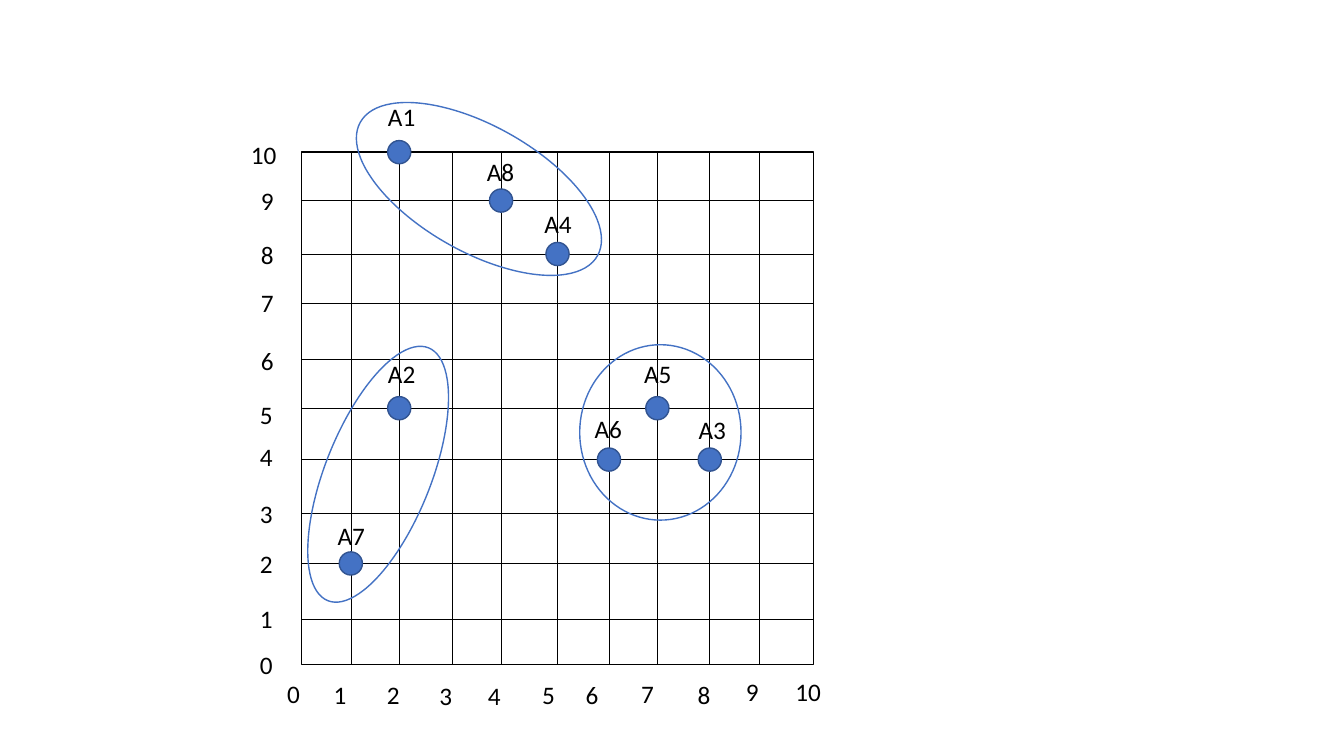
from pptx import Presentation
from pptx.dml.color import RGBColor
from pptx.enum.shapes import MSO_CONNECTOR as CONN, MSO_SHAPE as SHAPE
from pptx.enum.text import MSO_AUTO_SIZE as AUTO
from pptx.oxml.ns import qn
from pptx.util import Inches, Pt
from lxml import etree

# Grid positions for the values 0 to 10
GRID_X = [2.99, 3.48, 3.96, 4.49, 4.97, 5.53, 6.04, 6.52, 7.04, 7.53, 8.07]
GRID_Y = [6.59, 6.14, 5.59, 5.09, 4.56, 4.05, 3.57, 3.01, 2.52, 1.99, 1.51]

# Left and top of the axis labels 0 to 10
X_LABELS = [(2.75, 6.68), (3.21, 6.69), (3.74, 6.69), (4.26, 6.7), (4.74, 6.7),
            (5.28, 6.69), (5.71, 6.69), (6.26, 6.68), (6.82, 6.69),
            (7.3, 6.66), (7.79, 6.66)]
Y_LABELS = [(2.48, 6.39), (2.48, 5.94), (2.48, 5.39), (2.48, 4.89), (2.48, 4.33),
            (2.48, 3.91), (2.49, 3.38), (2.49, 2.8), (2.49, 2.33),
            (2.49, 1.79), (2.39, 1.33)]

# Name, x value, y value, left and top of the label
POINTS = [
    ("A1", 2, 10, 3.75, 0.96),
    ("A2", 2, 5, 3.75, 3.51),
    ("A3", 8, 4, 6.83, 4.06),
    ("A4", 5, 8, 5.3, 2.02),
    ("A5", 7, 5, 6.29, 3.51),
    ("A6", 6, 4, 5.8, 4.05),
    ("A7", 1, 2, 3.25, 5.11),
    ("A8", 4, 9, 4.73, 1.5),
]
DOT = 0.23

# Left, top, width, height, rotation
CLUSTERS = [
    (3.4, 1.25, 2.7, 1.25, 29.4),
    (5.75, 3.42, 1.6, 1.74, 0),
    (2.4, 4.18, 2.7, 1.05, 111.7),
]

BLACK, WHITE, BLUE, DARK_BLUE = "000000", "FFFFFF", "4472C4", "325491"

prs = Presentation()
prs.slide_width, prs.slide_height = Inches(13.33), Inches(7.5)
s = prs.slides.add_slide(prs.slide_layouts[6])


def color(value):
    return RGBColor.from_string(value)


def add_shape(kind, left, top, width, height, line, fill=None):
    sp = s.shapes.add_shape(kind, Inches(left), Inches(top), Inches(width), Inches(height))
    sp.shadow.inherit = False
    if fill:
        sp.fill.solid()
        sp.fill.fore_color.rgb = color(fill)
    else:
        sp.fill.background()
    sp.line.color.rgb = color(line)
    sp.line.width = Pt(1)
    return sp


def add_line(x1, y1, x2, y2):
    ln = s.shapes.add_connector(CONN.STRAIGHT, Inches(x1), Inches(y1), Inches(x2), Inches(y2))
    ln.line.color.rgb = color(BLACK)
    ln.line.width = Pt(0.5)
    etree.SubElement(ln._element.spPr, qn("a:effectLst"))


def add_label(text, left, top, width):
    tb = s.shapes.add_textbox(Inches(left), Inches(top), Inches(width), Inches(0.4))
    tf = tb.text_frame
    tf.word_wrap = True
    tf.auto_size = AUTO.SHAPE_TO_FIT_TEXT
    tf.text = text
    font = tf.paragraphs[0].runs[0].font
    font.name, font.size = "Calibri", Pt(18)
    font.color.rgb = color(BLACK)


# Frame and grid lines
left, right, bottom, top = GRID_X[0], GRID_X[-1], GRID_Y[0], GRID_Y[-1]
add_shape(SHAPE.RECTANGLE, left, top, right - left, bottom - top, BLACK, WHITE)
for y in GRID_Y[1:-1]:
    add_line(left, y, right, y)
for x in GRID_X[1:-1]:
    add_line(x, top, x, bottom)

# Axis labels
for value, (x, y) in enumerate(Y_LABELS):
    add_label(str(value), x, y, 0.28 if value < 10 else 0.46)
for value, (x, y) in enumerate(X_LABELS):
    add_label(str(value), x, y, 0.46)

# Points, then their names
for name, px, py, *_ in POINTS:
    add_shape(SHAPE.OVAL, GRID_X[px] - DOT / 2, GRID_Y[py] - DOT / 2, DOT, DOT, DARK_BLUE, BLUE)
for name, px, py, x, y in POINTS:
    add_label(name, x, y, 0.66)

# Cluster outlines
for x, y, w, h, angle in CLUSTERS:
    add_shape(SHAPE.OVAL, x, y, w, h, BLUE).rotation = angle

prs.save("out.pptx")
